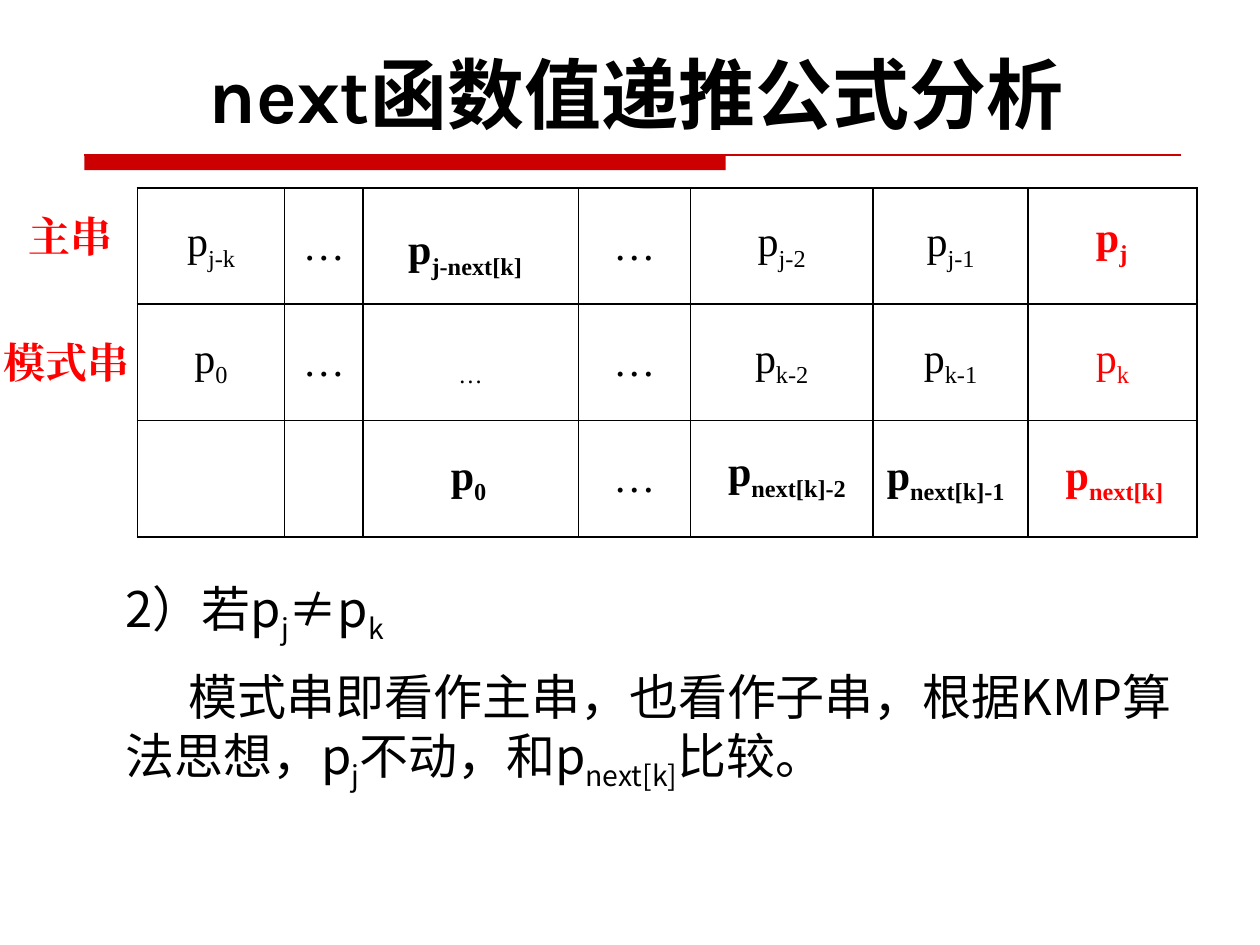
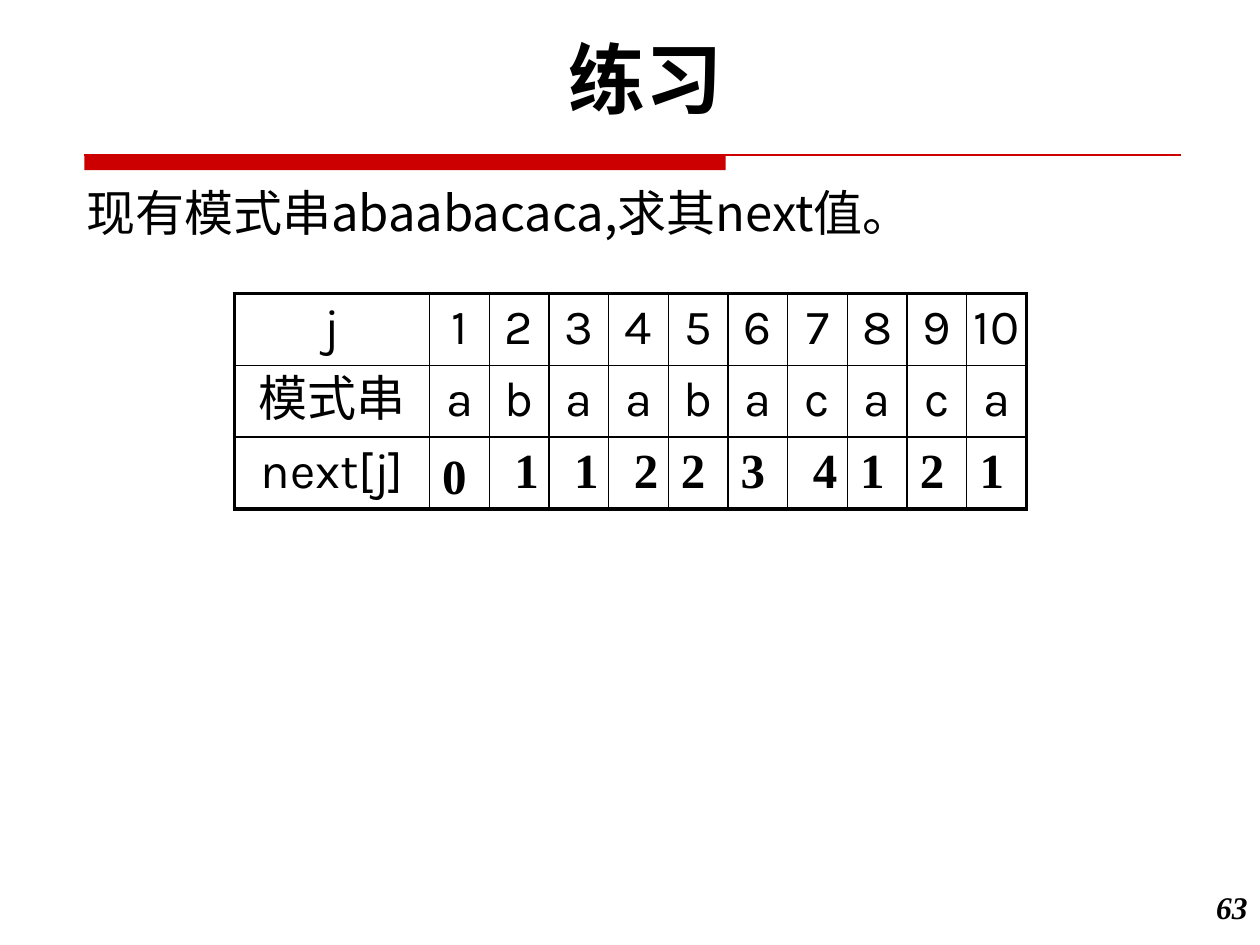
from lxml import etree
from pptx import Presentation
from pptx.dml.color import RGBColor
from pptx.enum.shapes import MSO_CONNECTOR, MSO_SHAPE
from pptx.enum.text import MSO_ANCHOR, PP_ALIGN
from pptx.oxml.ns import qn
from pptx.util import Inches, Pt

RECTANGLE = MSO_SHAPE.RECTANGLE
STRAIGHT = MSO_CONNECTOR.STRAIGHT
LEFT, CENTER, RIGHT = PP_ALIGN.LEFT, PP_ALIGN.CENTER, PP_ALIGN.RIGHT
TOP, MIDDLE = MSO_ANCHOR.TOP, MSO_ANCHOR.MIDDLE

SLIDE_WIDTH, SLIDE_HEIGHT = Inches(10), Inches(7.5)
GRID_COLUMNS, GRID_ROWS = 100, 75

BLACK, WHITE, RED, BAND_RED = "000000", "FFFFFF", "FF0000", "CC0000"
SERIF, SANS, DISPLAY = "Times New Roman", "Noto Sans CJK SC", "Karla"
THIN, THICK = 1, 2.25


def color(value):
    return RGBColor.from_string(value)


def across(columns):
    return round(SLIDE_WIDTH * columns / GRID_COLUMNS)


def down(rows):
    return round(SLIDE_HEIGHT * rows / GRID_ROWS)


def area(left, top, width, height):
    return across(left), down(top), across(width), down(height)


class Deck:
    def __init__(self):
        self.presentation = Presentation()
        self.presentation.slide_width = SLIDE_WIDTH
        self.presentation.slide_height = SLIDE_HEIGHT
        self.slide = None

    def new_slide(self):
        layout = self.presentation.slide_layouts[6]
        self.slide = self.presentation.slides.add_slide(layout)
        self.band()

    def band(self):
        left, top, right = 6.7, 12.3, 93.7
        bar = self.slide.shapes.add_shape(RECTANGLE, *area(left, top, 50.9, 1.2))
        bar.shadow.inherit = False
        bar.fill.solid()
        bar.fill.fore_color.rgb = color(BAND_RED)
        bar.line.fill.background()
        rule = self.slide.shapes.add_connector(
            STRAIGHT, across(left), down(top), across(right), down(top))
        rule.line.color.rgb = color(BAND_RED)
        rule.line.width = Pt(0.75)
        etree.SubElement(rule._element.spPr, qn("a:effectLst"))

    def set_text(self, frame, text, size, font=SERIF, ink=BLACK, bold=False,
                 italic=False, align=LEFT, spacing=None, indent=0):
        paragraph = frame.paragraphs[0]
        paragraph.alignment = align
        if spacing:
            paragraph.line_spacing = spacing
        paragraph.font.name = font
        paragraph.font.size = Pt(size)
        paragraph.font.bold = bold
        paragraph.font.italic = italic
        paragraph.font.color.rgb = color(ink)
        properties = paragraph._p.get_or_add_pPr()
        if indent:
            properties.set("indent", str(across(indent)))
        etree.SubElement(properties.find(qn("a:defRPr")), qn("a:ea"), typeface=font)
        for index, part in enumerate(text.split("|")):
            if part:
                run = paragraph.add_run()
                run.text = part
                if index % 2:
                    run.font._element.set("baseline", "-25000")

    def text(self, text, place, size, **style):
        box = self.slide.shapes.add_textbox(*area(*place))
        box.text_frame.word_wrap = True
        self.set_text(box.text_frame, text, size, **style)

    def patch(self, text, place, size, padded=True, **style):
        shape = self.slide.shapes.add_shape(RECTANGLE, *area(*place))
        shape.shadow.inherit = False
        shape.fill.solid()
        shape.fill.fore_color.rgb = color(WHITE)
        shape.line.fill.background()
        frame = shape.text_frame
        frame.word_wrap = True
        frame.vertical_anchor = TOP
        if not padded:
            frame.margin_left = frame.margin_right = 0
            frame.margin_top = frame.margin_bottom = 0
        self.set_text(frame, text, size, **style)

    def title(self, text, place, spacing=None):
        self.text(text, place, 44, font=DISPLAY, bold=True, align=CENTER,
                  spacing=spacing)

    def page_number(self, number):
        self.text(number, (93.3, 70, 6.7, 5), 18, bold=True, italic=True, align=RIGHT)

    def table(self, rows, left, top, widths, row_height, size, font, anchor,
              side_margin, outline=THIN, inks=None):
        last_row, last_column = len(rows) - 1, len(widths) - 1
        frame = self.slide.shapes.add_table(
            len(rows), len(widths),
            *area(left, top, sum(widths), row_height * len(rows)))
        table = frame.table
        table.first_row = table.horz_banding = False
        for column, width in zip(table.columns, widths):
            column.width = across(width)
        for r, row in enumerate(rows):
            table.rows[r].height = down(row_height)
            for c, text in enumerate(row):
                cell = table.cell(r, c)
                cell.fill.solid()
                cell.fill.fore_color.rgb = color(WHITE)
                cell.vertical_anchor = anchor
                cell.margin_left = cell.margin_right = across(side_margin)
                edges = {"L": c == 0, "R": c == last_column,
                         "T": r == 0, "B": r == last_row}
                self.borders(cell, edges, outline)
                if text:
                    ink = (inks or {}).get((r, c), BLACK)
                    self.set_text(cell.text_frame, text, size, font=font, ink=ink,
                                  align=CENTER)

    def borders(self, cell, edges, outline):
        properties = cell._tc.get_or_add_tcPr()
        for position, (side, outer) in enumerate(edges.items()):
            line = etree.Element(qn(f"a:ln{side}"), w=str(Pt(outline if outer else THIN)))
            fill = etree.SubElement(line, qn("a:solidFill"))
            etree.SubElement(fill, qn("a:srgbClr"), val=BLACK)
            properties.insert(position, line)


def recurrence_slide(deck):
    deck.new_slide()
    deck.table(
        [["p|j-k", "…", "…", "…", "p|j-2", "p|j-1", ""],
         ["p|0", "…", "|…", "…", "p|k-2", "p|k-1", "p|k"],
         ["", "", "", "…", "", "", ""]],
        10.9, 14.9, [11.7, 6.2, 17.1, 8.9, 14.5, 12.3, 13.4], 9.24,
        24, SERIF, MIDDLE, 1, inks={(1, 6): RED})
    for text, place, ink in [
            ("p|j", (86, 16.2, 6.3, 5.1), RED),
            ("p|next[k]", (83.6, 35.1, 11, 5), RED),
            ("p|next[k]-1", (69.4, 35.1, 13.4, 5), BLACK),
            ("p|next[k]-2", (56.8, 34.8, 13.4, 5), BLACK),
            ("主串", (1.3, 16.2, 9, 5), RED),
            ("模式串", (-0.7, 26.2, 12.2, 5), RED)]:
        deck.text(text, place, 24, ink=ink, bold=True)
    deck.patch("p|j-next[k]", (32.4, 17.7, 11, 4), 24, padded=False, bold=True)
    deck.patch("p|0", (34.8, 35.1, 7.1, 5.1), 24, bold=True)
    deck.text("2）若p|j|≠p|k", (9, 45.4, 82.7, 5.7), 28, font=SANS)
    deck.text("模式串即看作主串，也看作子串，根据KMP算法思想，p|j|不动，和p|next[k]|比较。",
              (9, 52.4, 86.9, 11.1), 28, font=SANS, indent=5)
    deck.title("next函数值递推公式分析", (5.1, 2.1, 90.8, 8.6), spacing=1.15)


def exercise_slide(deck):
    deck.new_slide()
    deck.page_number("63")
    deck.text("现有模式串abaabacaca,求其next值。", (5.9, 14.5, 91.6, 10), 28,
              font=SANS, spacing=0.9)
    table_left, label_width, digit_width = 18.6, 15.5, 4.74
    deck.table(
        [["j", *map(str, range(1, 11))],
         ["模式串", *"abaabacaca"],
         ["next[j]", *[""] * 10]],
        table_left, 23.3, [label_width] + [digit_width] * 10, 5.7,
        28, DISPLAY, TOP, 0, outline=THICK)
    shifted = {1, 2, 3, 6}
    for index, value in enumerate("0112234121"):
        left = table_left + label_width + index * digit_width + (index in shifted)
        top = 34.4 if index else 34.9
        deck.text(value, (left, top, 3.9, 5.7), 28, bold=True)
    deck.title("练习", (5, 2, 92.5, 8.4))


def main():
    deck = Deck()
    recurrence_slide(deck)
    exercise_slide(deck)
    deck.presentation.save("out.pptx")


if __name__ == "__main__":
    main()
